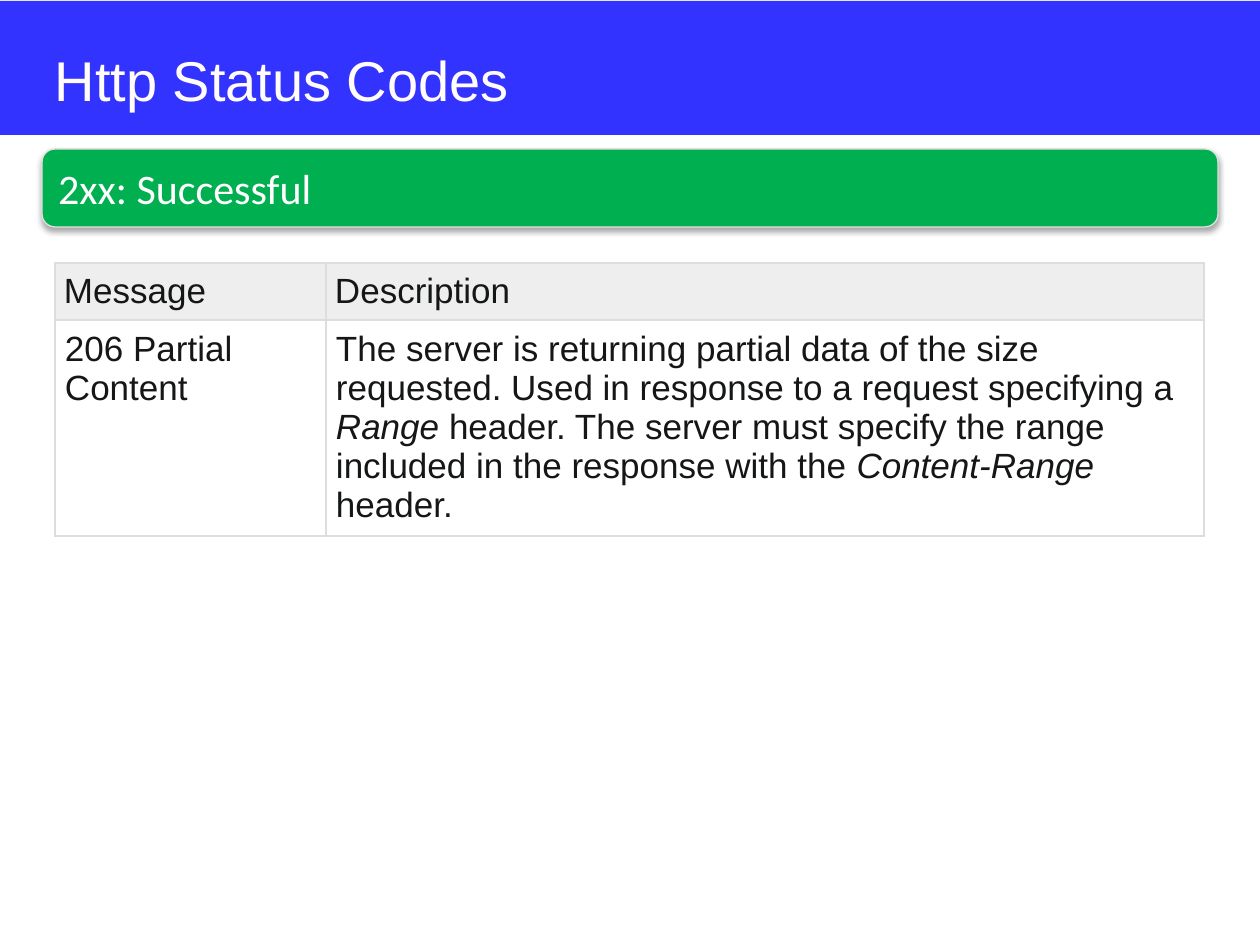
import pptx
import pptx.util
import pptx.dml.color
import pptx.enum.shapes
import pptx.enum.text
import pptx.oxml

PX = 914400 / 126
NS = 'xmlns:a="http://schemas.openxmlformats.org/drawingml/2006/main"'
MID = pptx.enum.text.MSO_ANCHOR.MIDDLE
TOP = pptx.enum.text.MSO_ANCHOR.TOP
KIND = pptx.enum.shapes.MSO_SHAPE


def px(*nums):
    return [pptx.util.Emu(round(n * PX)) for n in nums]


def write(frame, text, size=20, font="Arial", color="151616", anchor=TOP):
    """Fill a text frame; parts between asterisks become italic."""
    frame.word_wrap = True
    frame.vertical_anchor = anchor
    para = frame.paragraphs[0]
    para.alignment = pptx.enum.text.PP_ALIGN.LEFT
    for i, part in enumerate(text.split("*")):
        run = para.add_run()
        run.text = part
        run.font.size = pptx.util.Pt(size)
        run.font.name = font
        run.font.italic = i % 2 == 1
        run.font.color.rgb = pptx.dml.color.RGBColor.from_string(color)


deck = pptx.Presentation()
deck.slide_width, deck.slide_height = px(1260, 945)
slide = deck.slides.add_slide(deck.slide_layouts[5])
shapes = slide.shapes
title = shapes.title

# Blue band and green bar
band = shapes.add_shape(KIND.RECTANGLE, *px(0, 1, 1260, 134))
bar = shapes.add_shape(KIND.ROUNDED_RECTANGLE, *px(42, 149, 1176, 78))
for box, fill in ((band, "3333FF"), (bar, "00B050")):
    box.shadow.inherit = False
    box.fill.solid()
    box.fill.fore_color.rgb = pptx.dml.color.RGBColor.from_string(fill)
band.line.fill.background()
bar.line.color.rgb = pptx.dml.color.RGBColor.from_string("E1E1E1")
bar.line.width = pptx.util.Pt(0.75)
write(bar.text_frame, "2xx: Successful", size=24, font="Calibri",
      color="FFFFFF", anchor=MID)

# Soft shadow below the bar
glow = bar.element.spPr.find(pptx.oxml.ns.qn("a:effectLst"))
glow.append(pptx.oxml.parse_xml(
    f'<a:outerShdw {NS} blurRad="39370" dist="22860" dir="5400000" '
    'rotWithShape="0"><a:srgbClr val="000000"><a:alpha val="35000"/>'
    '</a:srgbClr></a:outerShdw>'))

# Title, brought in front of the band
shapes.element.append(title.element)
title.left, title.top, title.width, title.height = px(42, 35, 1176, 78)
write(title.text_frame, "Http Status Codes", size=32, color="FFFCF9", anchor=MID)
title.text_frame.margin_top, title.text_frame.margin_bottom = px(16, 6)

# Status table
rows = [
    ("Message", "Description"),
    ("206 Partial Content",
     "The server is returning partial data of the size requested. Used in "
     "response to a request specifying a *Range* header. The server must "
     "specify the range included in the response with the *Content-Range* header."),
]
table = shapes.add_table(2, 2, *px(55, 263, 1149, 272)).table
table.first_row = table.horz_banding = False
for col, width in zip(table.columns, px(271, 878)):
    col.width = width
for row, height in zip(table.rows, px(56, 216)):
    row.height = height

for r, texts in enumerate(rows):
    for c, text in enumerate(texts):
        cell = table.cell(r, c)
        write(cell.text_frame, text)
        cell.vertical_anchor = TOP
        pad = px(9 + r)[0]
        cell.margin_left = cell.margin_right = pad
        cell.margin_top = cell.margin_bottom = pad
        props = cell._tc.get_or_add_tcPr()
        for side in "LRTB":
            props.append(pptx.oxml.parse_xml(
                f'<a:ln{side} {NS} w="9525"><a:solidFill>'
                f'<a:srgbClr val="DDDDDD"/></a:solidFill></a:ln{side}>'))
        if r == 0:
            cell.fill.solid()
            cell.fill.fore_color.rgb = pptx.dml.color.RGBColor.from_string("EEEEEE")
        else:
            cell.fill.background()

deck.save("out.pptx")
